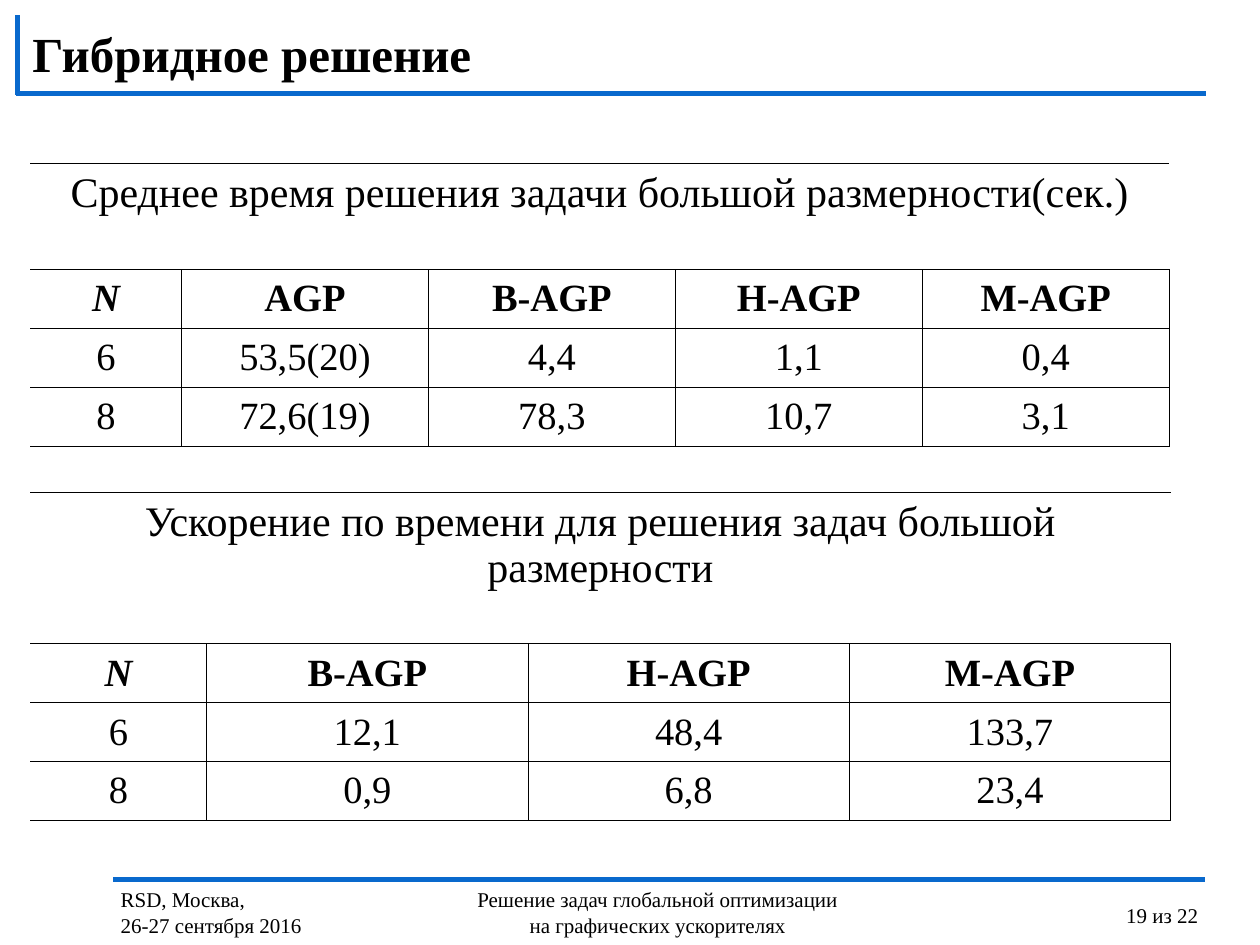
"""Build the slide with solution times and speedups of the hybrid method."""
from lxml import etree
from pptx import Presentation
from pptx.dml.color import RGBColor
from pptx.enum.shapes import MSO_CONNECTOR
from pptx.enum.text import MSO_ANCHOR, PP_ALIGN
from pptx.oxml.ns import qn
from pptx.util import Inches, Pt

LEFT, CENTER = PP_ALIGN.LEFT, PP_ALIGN.CENTER
TOP, MIDDLE = MSO_ANCHOR.TOP, MSO_ANCHOR.MIDDLE
STRAIGHT = MSO_CONNECTOR.STRAIGHT

THEME = {
    "font": "Times New Roman", "ink": "000000", "rule": "0969CD",
    "title": 28, "caption": 24, "cell": 22, "foot": 12,
    "bar": 3, "grid": 0.45,
}

# box, lines, size, bold, align, anchor, line spacing
TEXTS = [
    ((0.16, 0.17, 8.5, 0.5), ["Гибридное решение"], "title", True, LEFT, MIDDLE, 1),
    ((0.86, 6.99, 1.87, 0.5), ["RSD, Москва,", "26-27 сентября 2016"],
     "foot", False, LEFT, TOP, 1),
    ((3.17, 6.99, 4.1, 0.5),
     ["Решение задач глобальной оптимизации", "на графических ускорителях"],
     "foot", False, CENTER, TOP, 1),
    ((8.84, 7.01, 1.16, 0.49), ["19 из 22"], "foot", False, LEFT, TOP, 1.5),
]

RULES = [
    (0.13, 0.74, 9.57, 0.74),
    (0.14, 0.12, 0.14, 0.75),
    (0.9, 6.98, 9.56, 6.98),
]

TABLES = [
    {
        "at": (0.24, 1.3), "first": 1.2, "other": 1.96, "top": 0.84, "row": 0.46,
        "caption": "Среднее время решения задачи большой размерности(сек.)",
        "rows": [
            ["N", "AGP", "B-AGP", "H-AGP", "M-AGP"],
            ["6", "53,5(20)", "4,4", "1,1", "0,4"],
            ["8", "72,6(19)", "78,3", "10,7", "3,1"],
        ],
    },
    {
        "at": (0.24, 3.91), "first": 1.4, "other": 2.55, "top": 1.2, "row": 0.44,
        "caption": "Ускорение по времени для решения задач большой размерности",
        "rows": [
            ["N", "B-AGP", "H-AGP", "M-AGP"],
            ["6", "12,1", "48,4", "133,7"],
            ["8", "0,9", "6,8", "23,4"],
        ],
    },
]


def style(para, size, bold=False, align=LEFT):
    para.alignment = align
    font = para.font
    font.name, font.size, font.bold = THEME["font"], Pt(THEME[size]), bold
    font.color.rgb = RGBColor.from_string(THEME["ink"])


def add_text(slide, box, lines, size, bold, align, anchor, spacing):
    frame = slide.shapes.add_textbox(*map(Inches, box)).text_frame
    frame.word_wrap = True
    frame.vertical_anchor = anchor
    frame.text = "\n".join(lines)
    for para in frame.paragraphs:
        style(para, size, bold, align)
        para.line_spacing = spacing


def add_rule(slide, ends):
    rule = slide.shapes.add_connector(STRAIGHT, *map(Inches, ends))
    rule.line.color.rgb = RGBColor.from_string(THEME["rule"])
    rule.line.width = Pt(THEME["bar"])
    etree.SubElement(rule._element.spPr, qn("a:effectLst"))


def set_edges(cell, shown):
    props = cell._tc.get_or_add_tcPr()
    for spot, side in enumerate("LRTB"):
        edge = etree.Element(qn("a:ln" + side), w=str(Pt(THEME["grid"])))
        if side in shown:
            fill = etree.SubElement(edge, qn("a:solidFill"))
            etree.SubElement(fill, qn("a:srgbClr"), val=THEME["ink"])
        else:
            etree.SubElement(edge, qn("a:noFill"))
        props.insert(spot, edge)


def fill_cell(cell, text, size, bold, anchor, edges):
    cell.text = text
    cell.vertical_anchor = anchor
    cell.margin_left = cell.margin_right = Inches(0.08)
    cell.fill.background()
    style(cell.text_frame.paragraphs[0], size, bold, CENTER)
    set_edges(cell, edges)


def add_grid(slide, data):
    rows = data["rows"]
    count = len(rows[0])
    widths = [data["first"]] + [data["other"]] * (count - 1)
    heights = [data["top"]] + [data["row"]] * len(rows)
    size = (sum(widths), sum(heights))
    table = slide.shapes.add_table(
        len(heights), count, *map(Inches, data["at"] + size)).table
    table.first_row = table.horz_banding = False
    for col, width in zip(table.columns, widths):
        col.width = Inches(width)
    for row, height in zip(table.rows, heights):
        row.height = Inches(height)
    table.cell(0, 0).merge(table.cell(0, count - 1))
    for col in range(count):
        text = "" if col else data["caption"]
        fill_cell(table.cell(0, col), text, "caption", False, TOP, "TB")
    for num, row in enumerate(rows, 1):
        for col, text in enumerate(row):
            edges = "LRTB" if col else "RTB"
            fill_cell(table.cell(num, col), text, "cell", num == 1, MIDDLE, edges)
    table.cell(1, 0).text_frame.paragraphs[0].font.italic = True


def main():
    deck = Presentation()
    deck.slide_width, deck.slide_height = Inches(10), Inches(7.5)
    slide = deck.slides.add_slide(deck.slide_layouts[6])
    for ends in RULES:
        add_rule(slide, ends)
    for item in TEXTS:
        add_text(slide, *item)
    for data in TABLES:
        add_grid(slide, data)
    deck.save("out.pptx")


if __name__ == "__main__":
    main()
